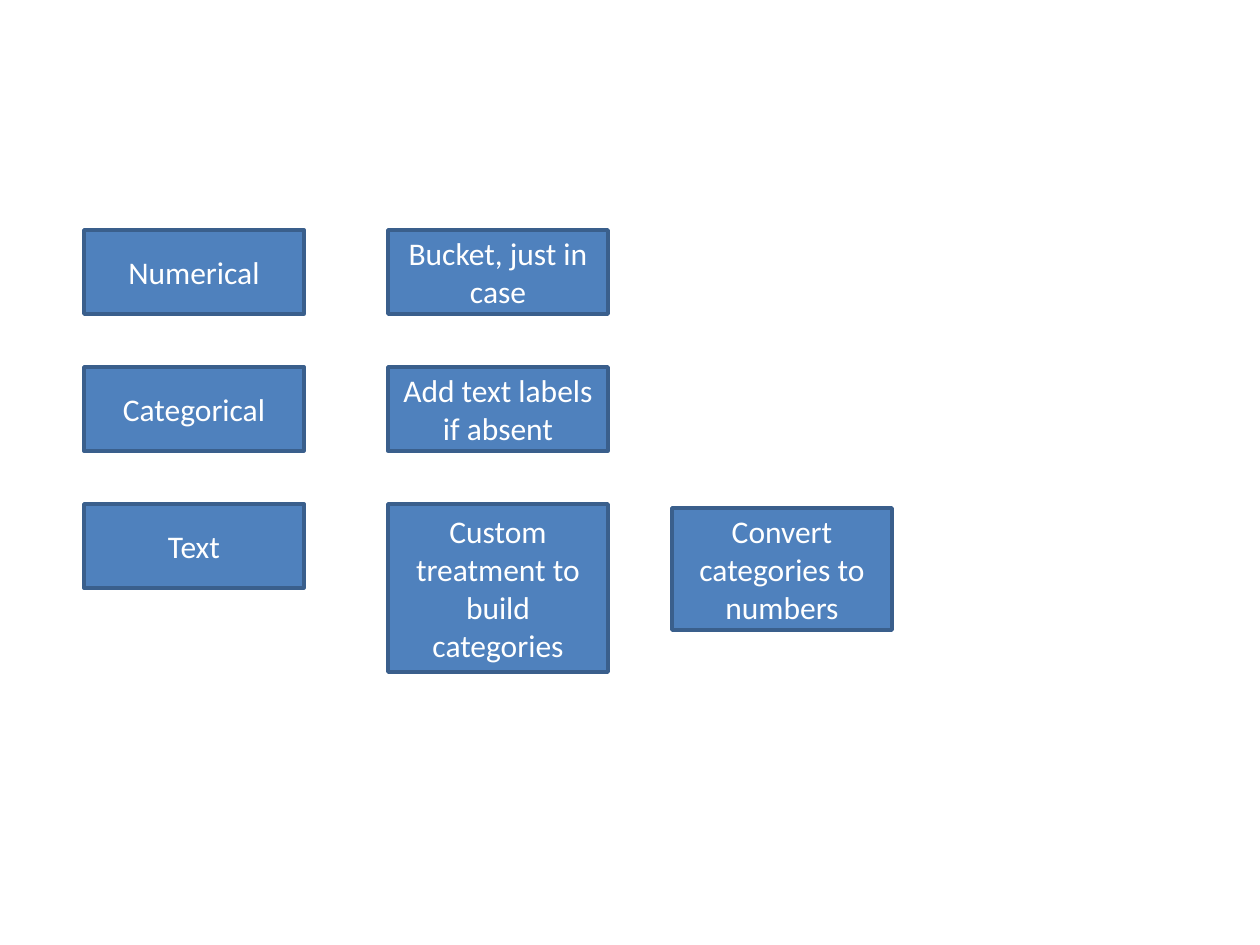
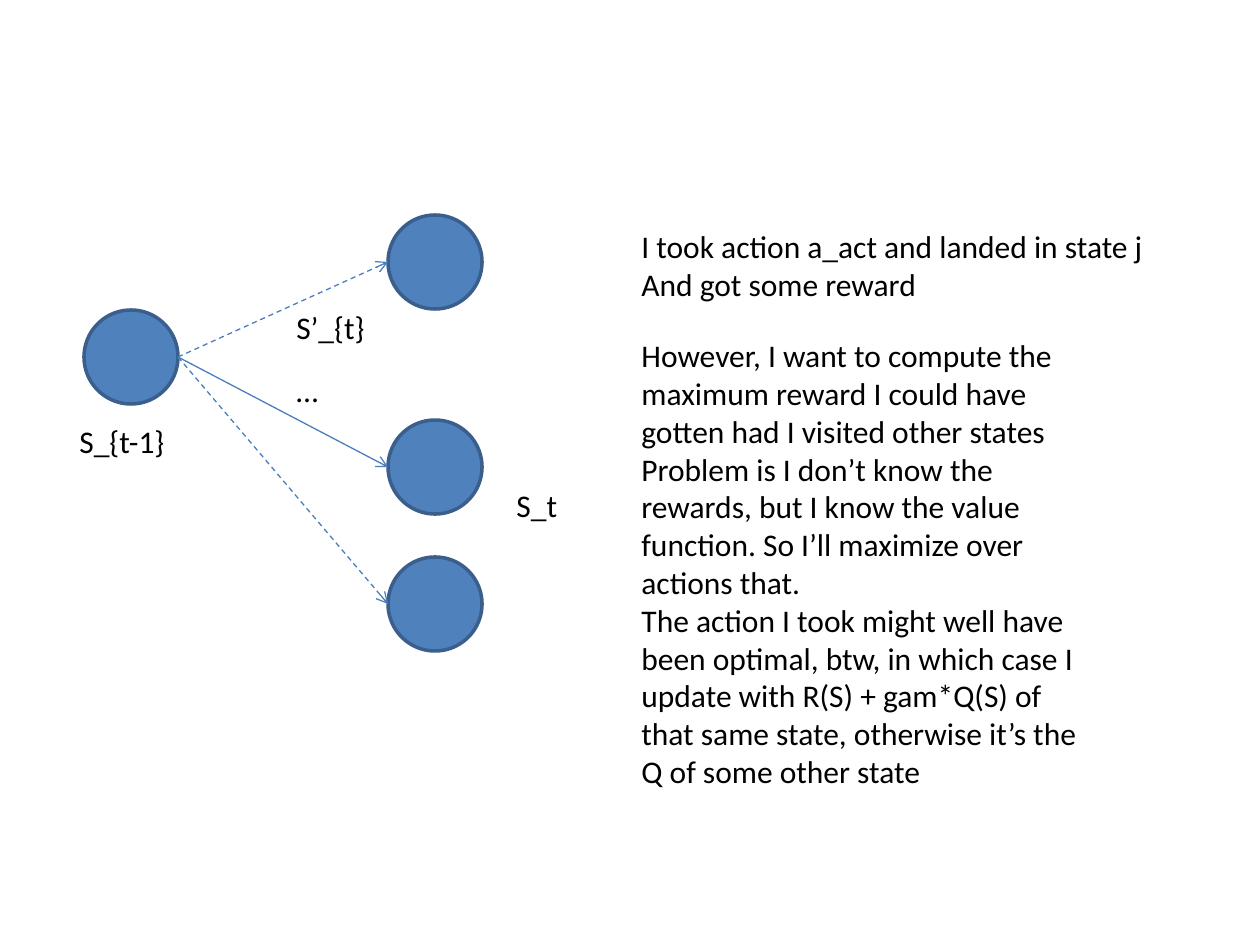
"""Build two diagram slides: data treatment boxes and a state transition graph."""
from dataclasses import dataclass

from lxml.etree import SubElement
from pptx import Presentation
from pptx.dml.color import RGBColor as RGB
from pptx.enum.dml import MSO_LINE as DASH
from pptx.enum.shapes import MSO_CONNECTOR as CONN, MSO_SHAPE as SHAPE
from pptx.enum.text import MSO_ANCHOR as ANCHOR, MSO_AUTO_SIZE as AUTO, PP_ALIGN as ALIGN
from pptx.oxml.ns import qn
from pptx.util import Emu, Pt


@dataclass(frozen=True)
class Theme:
    fill: RGB = RGB(0x4F, 0x81, 0xBD)
    edge: RGB = RGB(0x3A, 0x5F, 0x8C)
    arrow: RGB = RGB(0x4B, 0x7E, 0xBC)
    light: RGB = RGB(0xFF, 0xFF, 0xFF)
    dark: RGB = RGB(0, 0, 0)
    font: str = "Calibri"
    size: Pt = Pt(18)
    edge_width: Pt = Pt(2)
    arrow_width: Pt = Pt(0.75)


def px(*lengths):
    return [Emu(round(n * 914400 / 126)) for n in lengths]


class Deck:
    def __init__(self, theme):
        self.theme = theme
        self.prs = Presentation()
        self.prs.slide_width, self.prs.slide_height = px(1260, 945)
        self.s = None

    def slide(self):
        self.s = self.prs.slides.add_slide(self.prs.slide_layouts[6])

    def set_lines(self, tf, lines, color, align):
        tf.text = "\n".join(lines)
        for p in tf.paragraphs:
            p.alignment = align
            p.font.name, p.font.size = self.theme.font, self.theme.size
            p.font.color.rgb = color

    def shape(self, kind, x, y, w, h):
        sp = self.s.shapes.add_shape(kind, *px(x, y, w, h))
        sp.shadow.inherit = False
        sp.fill.solid()
        sp.fill.fore_color.rgb = self.theme.fill
        sp.line.color.rgb = self.theme.edge
        sp.line.width = self.theme.edge_width
        return sp

    def box(self, text, x, y, w, h):
        tf = self.shape(SHAPE.RECTANGLE, x, y, w, h).text_frame
        tf.word_wrap = True
        tf.vertical_anchor = ANCHOR.MIDDLE
        self.set_lines(tf, [text], self.theme.light, ALIGN.CENTER)

    def circle(self, x, y, d):
        self.shape(SHAPE.OVAL, x, y, d, d)

    def arrow(self, x1, y1, x2, y2, dashed):
        c = self.s.shapes.add_connector(CONN.STRAIGHT, *px(x1, y1, x2, y2))
        c.line.color.rgb = self.theme.arrow
        c.line.width = self.theme.arrow_width
        if dashed:
            c.line.dash_style = DASH.DASH
        props = c.element.spPr
        SubElement(props.find(qn("a:ln")), qn("a:tailEnd"), type="arrow")
        SubElement(props, qn("a:effectLst"))

    def text(self, lines, x, y, w, h, wrap=False):
        tf = self.s.shapes.add_textbox(*px(x, y, w, h)).text_frame
        tf.word_wrap = wrap
        tf.auto_size = AUTO.SHAPE_TO_FIT_TEXT
        self.set_lines(tf, lines, self.theme.dark, ALIGN.LEFT)


LEFT, MIDDLE = 84, 388
BOX_W, BOX_H = 220, 84
TOP, PITCH = 230, 137
DIAMETER, START_Y = 94, 310

TREATMENTS = [
    ("Numerical", "Bucket, just in case", BOX_H),
    ("Categorical", "Add text labels if absent", BOX_H),
    ("Text", "Custom treatment to build categories", 2 * BOX_H),
]
NEXT_STATES = [(420, False), (557, True), (215, True)]
LABELS = [
    ("S_t", 504, 480, 67),
    ("S_{t-1}", 67, 416, 112),
    ("S’_{t}", 284, 302, 93),
    ("…", 284, 365, 48),
]
OUTCOME = ["I took action a_act and landed in state j", "And got some reward"]
REASONING = [
    "However, I want to compute the maximum reward I could have gotten had I visited other states",
    "Problem is I don’t know the rewards, but I know the value function. "
    "So I’ll maximize over actions that.",
    "The action I took might well have been optimal, btw, in which case I update with "
    "R(S) + gam*Q(S) of that same state, otherwise it’s the Q of some other state",
]

deck = Deck(Theme())

deck.slide()
for i, (kind, treatment, height) in enumerate(TREATMENTS):
    y = TOP + i * PITCH
    deck.box(kind, LEFT, y, BOX_W, BOX_H)
    deck.box(treatment, MIDDLE, y, BOX_W, height)
deck.box("Convert categories to numbers", 672, 508, BOX_W, 122)

deck.slide()
radius = DIAMETER // 2
deck.circle(LEFT, START_Y, DIAMETER)
for y, dashed in NEXT_STATES:
    deck.circle(MIDDLE, y, DIAMETER)
    deck.arrow(LEFT + DIAMETER, START_Y + radius, MIDDLE, y + radius, dashed)
deck.text(OUTCOME, 629, 221, 549, 89)
deck.text(REASONING, 629, 330, 483, 471, wrap=True)
for label, x, y, width in LABELS:
    deck.text([label], x, y, width, 50)

deck.prs.save("out.pptx")
